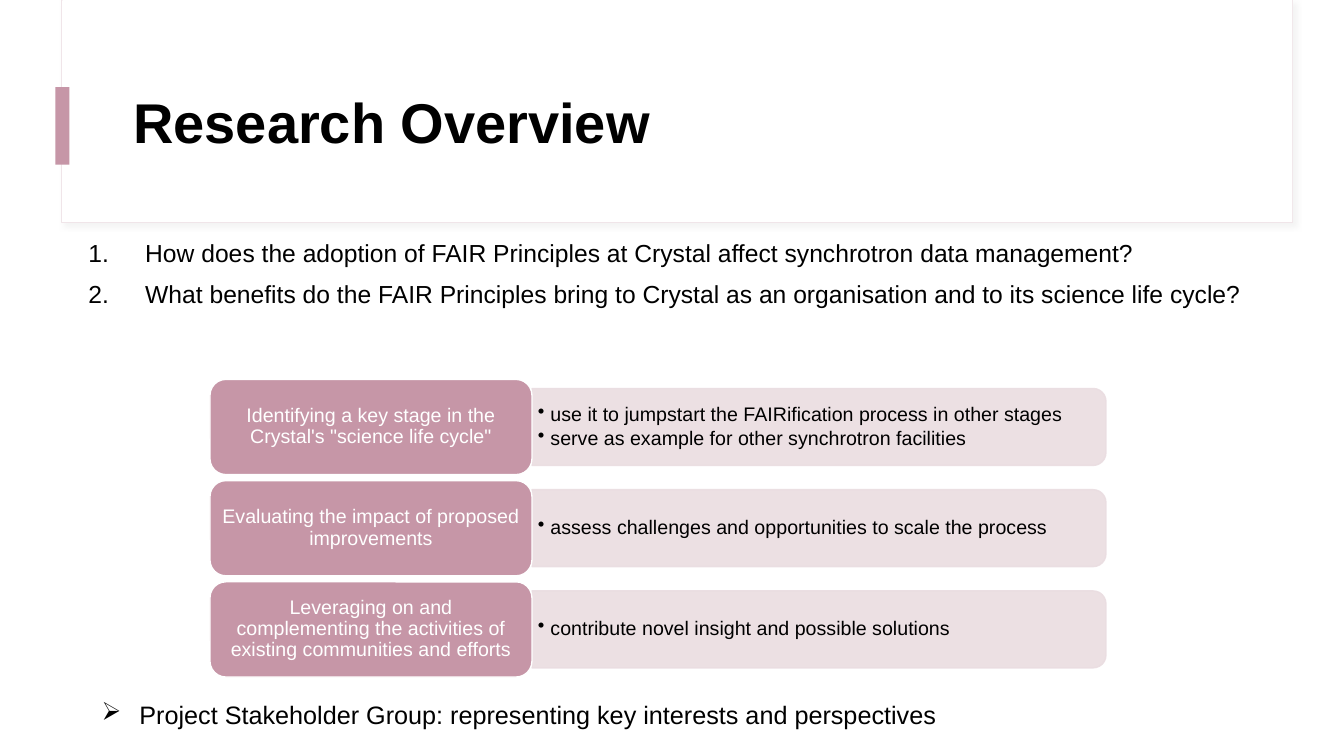
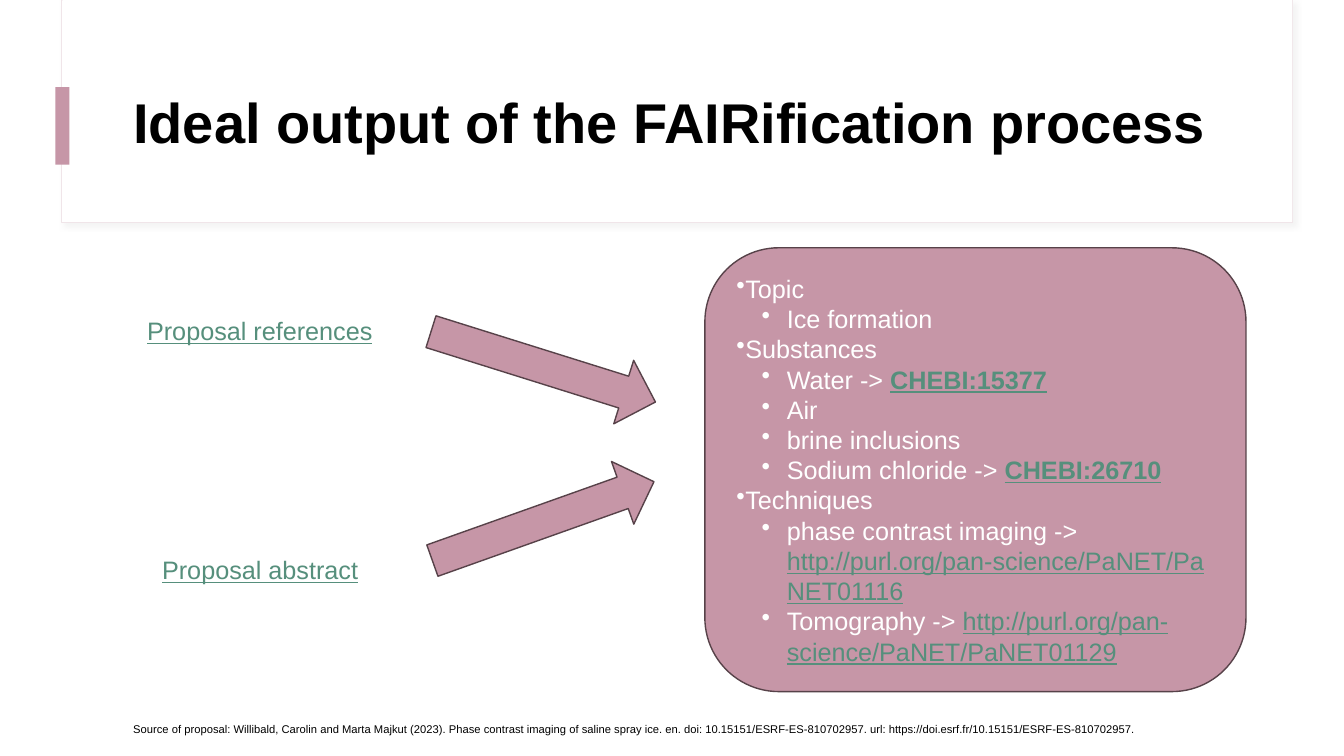
"""Build two slides on research questions and FAIRification output."""
import dataclasses

import lxml.etree
import pptx
import pptx.dml.color
import pptx.enum.shapes
import pptx.enum.text
import pptx.oxml.ns
import pptx.util

Pt = pptx.util.Pt
RGB = pptx.dml.color.RGBColor.from_string
SHAPE = pptx.enum.shapes.MSO_SHAPE
ALIGN = pptx.enum.text.PP_ALIGN
ANCHOR = pptx.enum.text.MSO_ANCHOR
qn = pptx.oxml.ns.qn


@dataclasses.dataclass(frozen=True)
class Theme:
    font: str = "Arial"
    text: str = "000000"
    white: str = "FFFFFF"
    rose: str = "C696A7"
    pale: str = "EADDE1"
    frame: str = "F0E5E9"
    outline: str = "574249"
    shadow: str = "D9D9D9"
    link: str = "568F7C"
    title_size: float = 40
    body_size: float = 18
    question_size: float = 17.6
    row_size: float = 14
    source_size: float = 8


T = Theme()


def add_block(shapes, kind, box, fill, line=None, width=1):
    s = shapes.add_shape(kind, *map(Pt, box))
    s.shadow.inherit = False
    s.fill.solid()
    s.fill.fore_color.rgb = RGB(fill)
    if line:
        s.line.color.rgb = RGB(line)
        s.line.width = Pt(width)
    else:
        s.line.fill.background()
    return s


def write(tf, paras, size, color=T.text, bold=False, **frame):
    frame = {"word_wrap": True, "vertical_anchor": ANCHOR.TOP,
             "auto_size": pptx.enum.text.MSO_AUTO_SIZE.NONE, **frame}
    for name, value in frame.items():
        setattr(tf, name, value)
    for i, (style, runs) in enumerate(paras):
        p = tf.add_paragraph() if i else tf.paragraphs[0]
        fmt = {"alignment": ALIGN.LEFT, "space_before": Pt(0), **style}
        left, first = fmt.pop("indent", (0, 0))
        bullet = fmt.pop("bullet", None)
        if i == 0:
            fmt["space_before"] = Pt(0)
        for name, value in fmt.items():
            setattr(p, name, value)
        pPr = p._p.get_or_add_pPr()
        pPr.set("marL", str(Pt(left)))
        pPr.set("indent", str(Pt(first)))
        if bullet == "1.":
            lxml.etree.SubElement(pPr, qn("a:buAutoNum"), type="arabicPeriod")
        elif bullet:
            lxml.etree.SubElement(pPr, qn("a:buChar"), char=bullet)
        for text, extra in runs:
            r = p.add_run()
            r.text = text
            font = {"name": T.font, "size": Pt(size), "bold": bold, **extra}
            r.font.color.rgb = RGB(font.pop("color", color))
            for name, value in font.items():
                setattr(r.font, name, value)


prs = pptx.Presentation()
prs.slide_width, prs.slide_height = Pt(960), Pt(540)
link = {"color": T.link, "underline": True}
bold_link = {**link, "bold": True}

overview = prs.slides.add_slide(prs.slide_layouts[1])
output = prs.slides.add_slide(prs.slide_layouts[5])

bands = [
    ((44, 0, 879, 159), T.white, T.frame),
    ((44.6, 0, 878.4, 158.4), T.white, None),
    ((39.5, 62.2, 10, 55.5), T.rose, None),
]
master_tree = prs.slide_master.shapes._spTree
for i, (box, fill, line) in enumerate(bands):
    s = add_block(overview.shapes, SHAPE.RECTANGLE, box, fill, line, 0.75)
    if line:
        effects = s._element.spPr.find(qn("a:effectLst"))
        shadow = lxml.etree.SubElement(
            effects, qn("a:outerShdw"), blurRad=str(Pt(4)), dist=str(Pt(3)),
            dir=str(45 * 60000), algn="tl", rotWithShape="0")
        tint = lxml.etree.SubElement(shadow, qn("a:srgbClr"), val=T.shadow)
        lxml.etree.SubElement(tint, qn("a:alpha"), val="30000")
    s._element.nvSpPr.cNvPr.set("id", str(20 + i))
    master_tree.insert(2 + i, s._element)

titles = [(overview, "Research Overview"),
          (output, "Ideal output of the FAIRification process")]
for slide, title in titles:
    s = slide.shapes.title
    s.left, s.top, s.width, s.height = map(Pt, (88, 43, 801, 93))
    write(s.text_frame, [({"line_spacing": 0.9}, [(title, {})])],
          T.title_size, bold=True, vertical_anchor=ANCHOR.MIDDLE)

questions = [
    "How does the adoption of FAIR Principles at Crystal affect synchrotron data management?",
    "What benefits do the FAIR Principles bring to Crystal as an organisation and to its science life cycle?",
]
numbered = {"line_spacing": 0.9, "space_before": Pt(10),
            "indent": (40.5, -40.5), "bullet": "1."}
s = overview.placeholders[1]
s.left, s.top, s.width, s.height = map(Pt, (56, 169, 847.5, 101))
write(s.text_frame, [(numbered, [(q, {})]) for q in questions], T.question_size)

sp = overview.shapes.add_textbox(*map(Pt, (65.5, 496, 808.5, 29)))
write(sp.text_frame,
      [({"indent": (27, -27), "bullet": "➢"},
        [("Project Stakeholder Group: representing key interests and perspectives", {})])],
      T.body_size)

rows = [
    ("Identifying a key stage in the Crystal's \"science life cycle\"",
     ["use it to jumpstart the FAIRification process in other stages",
      "serve as example for other synchrotron facilities"]),
    ("Evaluating the impact of proposed improvements",
     ["assess challenges and opportunities to scale the process"]),
    ("Leveraging on and complementing the activities of existing communities and efforts",
     ["contribute novel insight and possible solutions"]),
]
label_left, label_width, label_height = 150, 230, 68
bar_left, bar_width, bar_height = 380, 410, 55
row_top, row_pitch = 271, 72.3
centred = {"alignment": ALIGN.CENTER, "line_spacing": 0.9}
detail = {"line_spacing": 0.9, "space_after": Pt(2.4),
          "indent": (9, -9), "bullet": "•"}
insets = {"margin_left": Pt(4.2), "margin_right": Pt(4.2),
          "margin_top": Pt(2), "margin_bottom": Pt(2),
          "vertical_anchor": ANCHOR.MIDDLE}
for i, (label, details) in enumerate(rows):
    top = row_top + i * row_pitch
    middle = top + label_height / 2
    box = (bar_left + (bar_width - bar_height) / 2, middle - bar_width / 2,
           bar_height, bar_width)
    s = add_block(overview.shapes, SHAPE.ROUND_2_SAME_RECTANGLE, box, T.pale, T.pale)
    s.rotation = 90
    for tint in s._element.spPr.iter(qn("a:srgbClr")):
        lxml.etree.SubElement(tint, qn("a:alpha"), val="90000")
    sp = overview.shapes.add_textbox(
        *map(Pt, (bar_left, middle - 25, bar_width - 3, 50)))
    write(sp.text_frame, [(detail, [(d, {})]) for d in details], T.row_size, **insets)
    s = add_block(overview.shapes, SHAPE.ROUNDED_RECTANGLE,
                  (label_left, top, label_width, label_height), T.rose, T.white)
    write(s.text_frame, [(centred, [(label, {})])], T.row_size, T.white, **insets)

captions = [
    ("Proposal references", (98, 222, 185, 29), link, T.body_size, ANCHOR.TOP),
    ("Proposal abstract", (108.7, 392.4, 164, 51), link, T.body_size, ANCHOR.TOP),
    ("Source of proposal: Willibald, Carolin and Marta Majkut (2023). Phase contrast "
     "imaging of saline spray ice. en. doi: 10.15151/ESRF-ES-810702957. "
     "url: https://doi.esrf.fr/10.15151/ESRF-ES-810702957.",
     (88, 506, 754.5, 29), {}, T.source_size, ANCHOR.MIDDLE),
]
for text, box, extra, size, anchor in captions:
    sp = output.shapes.add_textbox(*map(Pt, box))
    write(sp.text_frame, [({}, [(text, extra)])], size, vertical_anchor=anchor)

for top, angle in [(238.3, 17.4), (348.5, 340.4)]:
    s = add_block(output.shapes, SHAPE.RIGHT_ARROW, (304, top, 168, 47.5),
                  T.rose, T.outline)
    s.rotation = angle

findings = [
    (0, "Topic", None, {}),
    (1, "Ice formation", None, {}),
    (0, "Substances", None, {}),
    (1, "Water -> ", "CHEBI:15377", bold_link),
    (1, "Air", None, {}),
    (1, "brine inclusions", None, {}),
    (1, "Sodium chloride -> ", "CHEBI:26710", bold_link),
    (0, "Techniques", None, {}),
    (1, "phase contrast imaging -> ", "http://purl.org/pan-science/PaNET/PaNET01116", link),
    (1, "Tomography -> ", "http://purl.org/pan-science/PaNET/PaNET01129", link),
]
levels = [{"level": 0, "bullet": "•"},
          {"level": 1, "bullet": "•", "indent": (36, -18)}]
paras = [(levels[level], [(text, {})] + ([(target, extra)] if target else []))
         for level, text, target, extra in findings]
s = add_block(output.shapes, SHAPE.ROUNDED_RECTANGLE, (503.5, 177, 386.5, 317),
              T.rose, T.outline)
write(s.text_frame, paras, T.body_size, T.white, vertical_anchor=ANCHOR.MIDDLE)

prs.save("out.pptx")
